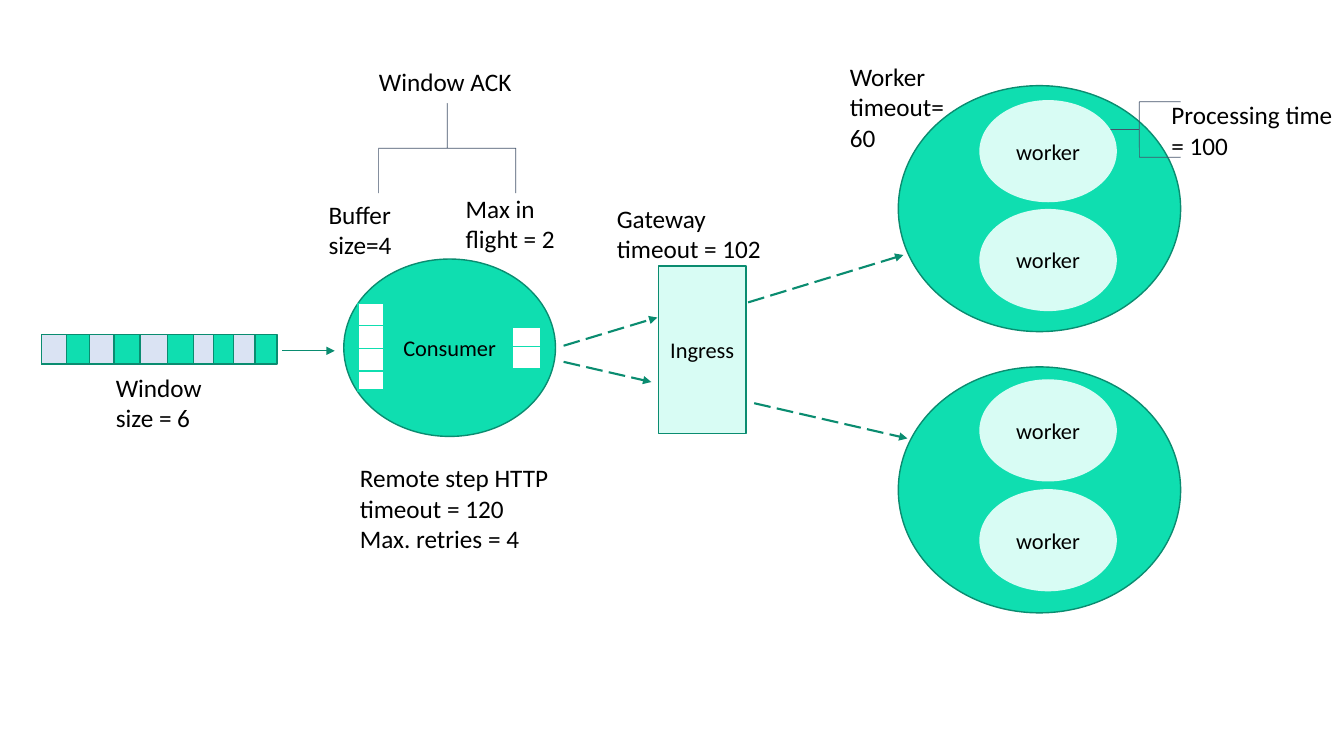
"""Draw the flow from a message window through a consumer and ingress to workers."""
import typing

import lxml.etree
import pptx
import pptx.dml.color
import pptx.enum.dml
import pptx.enum.shapes
import pptx.enum.text
import pptx.oxml.ns
import pptx.util

Inches = pptx.util.Inches
Kind = pptx.enum.shapes.MSO_SHAPE
Align = pptx.enum.text.PP_ALIGN
GREEN, DARK, MINT, BLUE = "0FDEB0", "0A8C70", "D8FCF4", "DAE3F3"
WHITE, BLACK, SLATE = "FFFFFF", "000000", "44546A"


class Box(typing.NamedTuple):
    """A place on the slide in inches."""
    left: float
    top: float
    width: float
    height: float


class Label(typing.NamedTuple):
    """A free text and its place."""
    text: str
    box: Box


class Arrow(typing.NamedTuple):
    """A line with a head at its end."""
    start: tuple[float, float]
    end: tuple[float, float]
    dashed: bool = True


def paint(form: typing.Any, color: str) -> None:
    """Give a fill or font colour from a hex string."""
    if hasattr(form, "solid"):
        form.solid()
        form.fore_color.rgb = pptx.dml.color.RGBColor.from_string(color)
    else:
        form.color.rgb = pptx.dml.color.RGBColor.from_string(color)


def write(frame: typing.Any, text: str, size: float = 18, color: str = BLACK,
          align: typing.Any = Align.LEFT, anchor: typing.Any = pptx.enum.text.MSO_ANCHOR.TOP) -> None:
    """Fill a text frame and format every run."""
    frame.text = text
    frame.word_wrap = True
    frame.vertical_anchor = anchor
    for para in frame.paragraphs:
        para.alignment = align
        for run in para.runs:
            run.font.name = "Calibri"
            run.font.size = pptx.util.Pt(size)
            paint(run.font, color)


def draw(shapes: typing.Any, kind: typing.Any, box: Box, fill: str = "",
         line: str = DARK, width: float = 1, text: str = "") -> typing.Any:
    """Add a preset shape, with centred text if any."""
    shape = shapes.add_shape(kind, *map(Inches, box))
    shape.shadow.inherit = False
    if fill:
        paint(shape.fill, fill)
    else:
        shape.fill.background()
    paint(shape.line, line)
    shape.line.width = pptx.util.Pt(width)
    if text:
        write(shape.text_frame, text, size=16, align=Align.CENTER,
              anchor=pptx.enum.text.MSO_ANCHOR.MIDDLE)
    return shape


def brace(shapes: typing.Any, box: Box, turn: float = 0) -> None:
    """Add a square left brace."""
    shape = draw(shapes, Kind.LEFT_BRACE, box, line=SLATE, width=0.5)
    shape.adjustments[0] = 0
    shape.adjustments[1] = 0.5
    shape.rotation = turn


def note(shapes: typing.Any, label: Label) -> None:
    """Add a text box that grows with its text."""
    frame = shapes.add_textbox(*map(Inches, label.box)).text_frame
    write(frame, label.text)
    frame.auto_size = pptx.enum.text.MSO_AUTO_SIZE.SHAPE_TO_FIT_TEXT


def link(shapes: typing.Any, arrow: Arrow) -> None:
    """Add an arrow between two points."""
    line = shapes.add_connector(pptx.enum.shapes.MSO_CONNECTOR.STRAIGHT,
                                *map(Inches, arrow.start + arrow.end))
    paint(line.line, DARK)
    line.line.width = pptx.util.Pt(1.5 if arrow.dashed else 0.5)
    if arrow.dashed:
        line.line.dash_style = pptx.enum.dml.MSO_LINE.LONG_DASH
    tag = pptx.oxml.ns.qn
    lxml.etree.SubElement(line.line._get_or_add_ln(), tag("a:tailEnd"), type="triangle")
    lxml.etree.SubElement(line._element.spPr, tag("a:effectLst"))


PODS = [0.85, 3.64]
WORKERS = [1, 2.08, 3.77, 4.86]
WINDOW = [(0.41, 2.75), (0.41, 2.53), (0.66, 2.32), (0.89, 2.12), (1.13, 1.92), (1.39, 1.66)]
SLOTS = [
    Box(3.55, 3.08, 0.26, 0.42), Box(3.55, 3.01, 0.26, 0.22),
    Box(3.55, 3.46, 0.26, 0.42), Box(3.55, 3.68, 0.26, 0.19),
    Box(5.08, 3.25, 0.28, 0.42), Box(5.08, 3.44, 0.28, 0.22),
]
ARROWS = [
    Arrow((2.8, 3.48), (3.32, 3.48), dashed=False),
    Arrow((5.59, 3.43), (6.52, 3.15)), Arrow((5.59, 3.59), (6.46, 3.79)),
    Arrow((7.42, 3), (8.96, 2.53)), Arrow((7.48, 4), (9, 4.35)),
]
LABELS = [
    Label("Remote step HTTP timeout = 120\nMax. retries = 4", Box(3.47, 4.54, 2.22, 1.01)),
    Label("Buffer size=4", Box(3.16, 1.93, 1.01, 0.71)),
    Label("Max in flight = 2", Box(4.52, 1.87, 1.25, 0.71)),
    Label("Gateway timeout = 102", Box(6.02, 1.97, 1.7, 0.71)),
    Label("Worker timeout=\v60", Box(8.33, 0.56, 1.25, 1.01)),
    Label("Processing time = 100", Box(11.52, 0.94, 1.82, 0.71)),
    Label("Window size = 6", Box(1.05, 3.64, 1.42, 0.71)),
    Label("Window ACK", Box(3.66, 0.61, 1.68, 0.4)),
]

deck = pptx.Presentation()
deck.slide_width, deck.slide_height = Inches(13.33), Inches(7.5)
shapes = deck.slides.add_slide(deck.slide_layouts[6]).shapes

for top in PODS:
    draw(shapes, Kind.OVAL, Box(8.91, top, 2.8, 2.44), GREEN)
window = shapes.add_group_shape()
for step, (left, right) in enumerate(WINDOW):
    draw(window.shapes, Kind.RECTANGLE, Box(left, 3.32, right - left, 0.29),
         BLUE if step % 2 else GREEN)
draw(shapes, Kind.OVAL, Box(3.41, 2.57, 2.1, 1.76), GREEN, text="Consumer")
for slot in SLOTS:
    draw(shapes, Kind.RECTANGLE, slot, WHITE, GREEN)
draw(shapes, Kind.RECTANGLE, Box(6.53, 2.64, 0.87, 1.66), MINT, text="Ingress")
brace(shapes, Box(10.89, 1.01, 0.82, 0.55))
brace(shapes, Box(3.99, 0.79, 0.89, 1.36), turn=90)
for top in WORKERS:
    draw(shapes, Kind.OVAL, Box(9.72, top, 1.35, 1), MINT, MINT, text="worker")
for arrow in ARROWS:
    link(shapes, arrow)
for label in LABELS:
    note(shapes, label)

deck.save("out.pptx")
